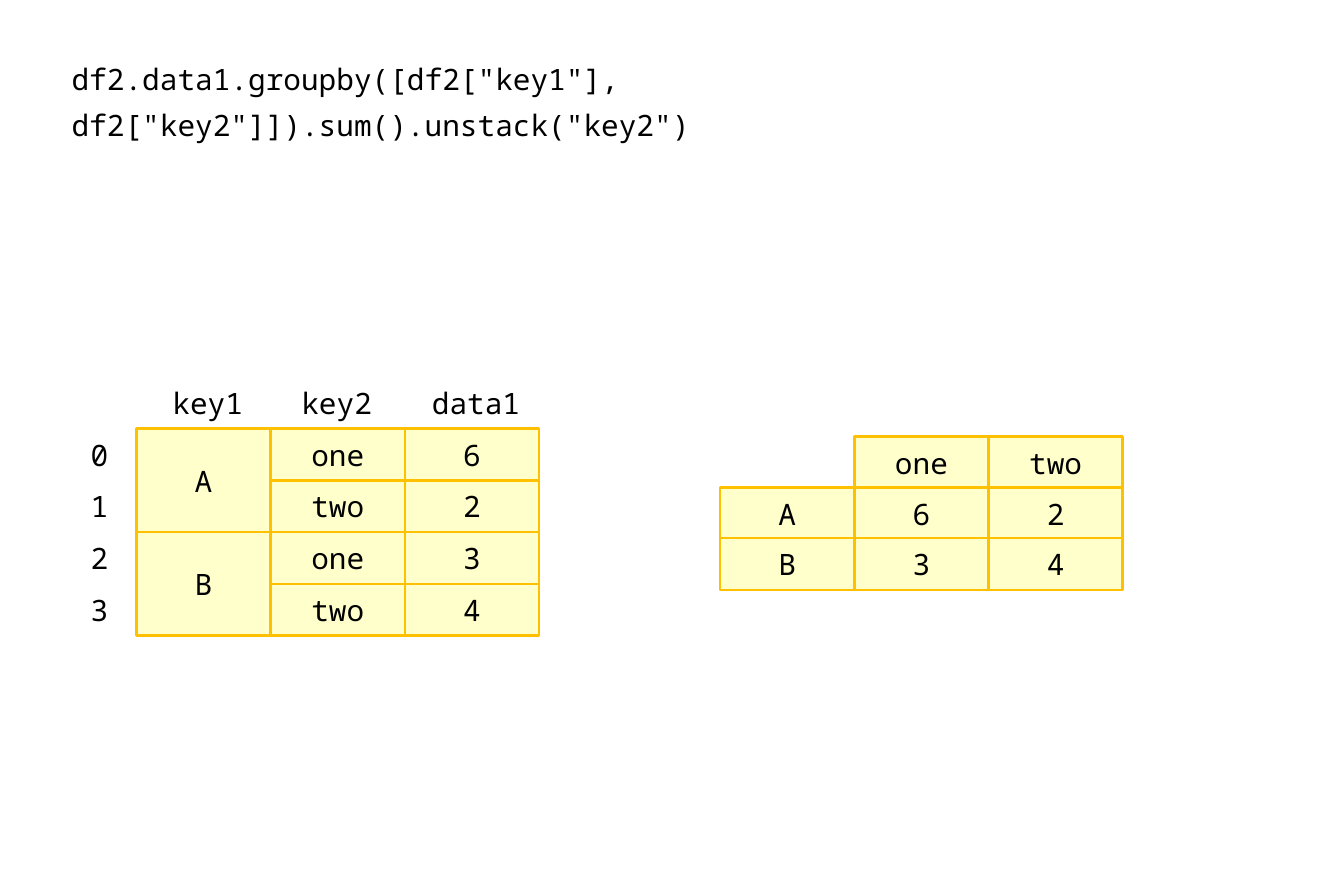
"""Build a slide showing a grouped sum being unstacked into a cross table."""
from pptx import Presentation
from pptx.dml.color import RGBColor
from pptx.enum.shapes import MSO_SHAPE
from pptx.enum.text import MSO_ANCHOR, PP_ALIGN
from pptx.util import Inches, Pt

COLOURS = {"text": "000000", "cell": "FFFFCC", "border": "FFC000"}
FONT = "Noto Sans Mono"
CELL_WIDTH, CELL_HEIGHT = 1.14, 0.44
GROUPED_LEFT, GROUPED_TOP = 1.16, 3.64
INDEX_LEFT, INDEX_WIDTH = 0.54, 0.61
UNSTACKED_LEFT, UNSTACKED_TOP, UNSTACKED_PITCH = 6.12, 3.71, 0.43

CODE = 'df2.data1.groupby([df2["key1"], df2["key2"]]).sum().unstack("key2")'
HEADERS = [("key1", 1.15, 1.23), ("key2", 2.17, 1.38), ("data1", 3.43, 1.23)]
GROUPS = ["A", "B"]
GROUPED_ROWS = [("one", "6"), ("two", "2"), ("one", "3"), ("two", "4")]
UNSTACKED_ROWS = [("", "one", "two"), ("A", "6", "2"), ("B", "3", "4")]


def colour(name):
    """Return the named colour."""
    return RGBColor.from_string(COLOURS[name])


def write(box, text, align=PP_ALIGN.CENTER, anchor=MSO_ANCHOR.MIDDLE):
    """Put one styled run into a box and return its paragraph."""
    frame = box.text_frame
    frame.word_wrap = True
    frame.vertical_anchor = anchor
    para = frame.paragraphs[0]
    para.alignment = align
    span = para.add_run()
    span.text = text
    span.font.name = FONT
    span.font.size = Pt(18)
    span.font.color.rgb = colour("text")
    return para


def add_label(page, text, left, top, width):
    """Add a centred label one row high."""
    box = page.shapes.add_textbox(*map(Inches, (left, top, width, CELL_HEIGHT)))
    write(box, text)


def add_cell(page, text, left, top, rows=1):
    """Add a bordered cell spanning the given number of rows."""
    area = map(Inches, (left, top, CELL_WIDTH, rows * CELL_HEIGHT))
    box = page.shapes.add_shape(MSO_SHAPE.RECTANGLE, *area)
    box.shadow.inherit = False
    box.fill.solid()
    box.fill.fore_color.rgb = colour("cell")
    box.line.color.rgb = colour("border")
    box.line.width = Pt(1.5)
    write(box, text)


def add_code(page):
    """Add the expression at the top of the slide."""
    box = page.shapes.add_textbox(*map(Inches, (0.51, 0.38, 9.48, 0.46)))
    para = write(box, CODE, PP_ALIGN.LEFT, MSO_ANCHOR.TOP)
    para.line_spacing = 1.3


def add_grouped(page):
    """Add the grouped data with its headers and row numbers."""
    for text, left, width in HEADERS:
        add_label(page, text, left, GROUPED_TOP - CELL_HEIGHT, width)
    for number, group in enumerate(GROUPS):
        add_cell(page, group, GROUPED_LEFT, GROUPED_TOP + number * 2 * CELL_HEIGHT, rows=2)
    for row, values in enumerate(GROUPED_ROWS):
        top = GROUPED_TOP + row * CELL_HEIGHT
        add_label(page, str(row), INDEX_LEFT, top, INDEX_WIDTH)
        for column, text in enumerate(values, start=1):
            add_cell(page, text, GROUPED_LEFT + column * CELL_WIDTH, top)


def add_unstacked(page):
    """Add the cross table, leaving its corner open."""
    for row, values in enumerate(UNSTACKED_ROWS):
        for column, text in enumerate(values):
            if text:
                add_cell(page, text, UNSTACKED_LEFT + column * CELL_WIDTH,
                         UNSTACKED_TOP + row * UNSTACKED_PITCH)


def main():
    """Build and save the deck."""
    deck = Presentation()
    deck.slide_width, deck.slide_height = Inches(11.42), Inches(7.5)
    page = deck.slides.add_slide(deck.slide_layouts[6])
    add_code(page)
    add_grouped(page)
    add_unstacked(page)
    deck.save("out.pptx")


if __name__ == "__main__":
    main()
